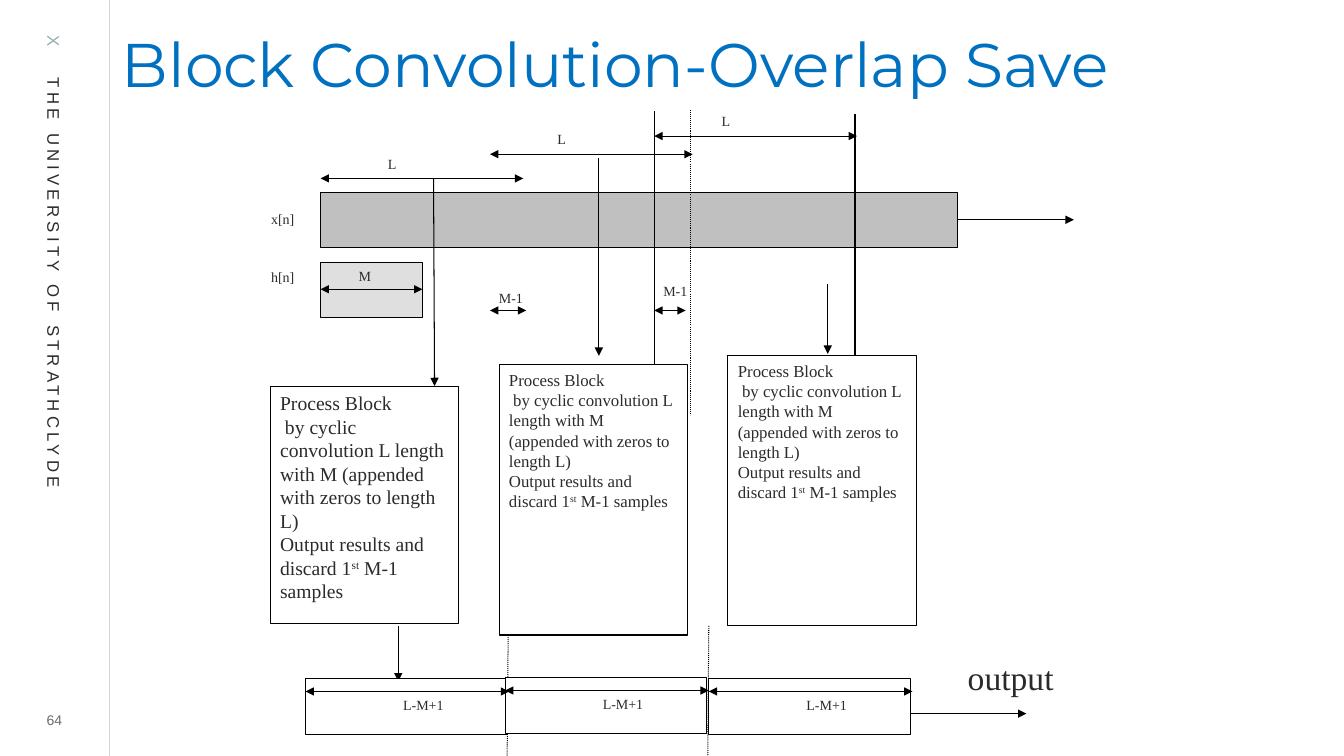
"""Build the slide on block convolution by the overlap-save method."""
from lxml import etree
from pptx import Presentation
from pptx.dml.color import RGBColor
from pptx.enum.dml import MSO_LINE
from pptx.enum.shapes import MSO_CONNECTOR, MSO_SHAPE
from pptx.enum.text import MSO_ANCHOR, MSO_AUTO_SIZE, PP_ALIGN
from pptx.oxml.ns import qn
from pptx.util import Inches, Pt

BLACK = RGBColor(0x00, 0x00, 0x00)
WHITE = RGBColor(0xFF, 0xFF, 0xFF)
INK = RGBColor(0x2B, 0x2B, 0x2B)
BLUE = RGBColor(0x00, 0x70, 0xC0)
GREY = RGBColor(0xC0, 0xC0, 0xC0)
PALE = RGBColor(0xDF, 0xDF, 0xDF)
RULE = RGBColor(0xD5, 0xD5, 0xD5)
SAGE = RGBColor(0x95, 0xAC, 0xAC)
DIM = RGBColor(0x6B, 0x6B, 0x6B)
LEFT, CENTER = PP_ALIGN.LEFT, PP_ALIGN.CENTER
TOP, MIDDLE = MSO_ANCHOR.TOP, MSO_ANCHOR.MIDDLE
DOT = MSO_LINE.ROUND_DOT
RECT, LINE = MSO_SHAPE.RECTANGLE, MSO_CONNECTOR.STRAIGHT

deck = Presentation()
deck.slide_width, deck.slide_height = Inches(13.33), Inches(7.5)
slide = deck.slides.add_slide(deck.slide_layouts[5])
shapes = slide.shapes


def write(text, box=None, at=None, size=10, font="Times New Roman", color=INK,
          align=LEFT, anchor=TOP, inset=(0.1, 0.05, 0.1, 0.05), tab=None):
    """Write lines of text; | parts runs and ^ raises one."""
    if box is None:
        box = shapes.add_textbox(*map(Inches, at))
    frame = box.text_frame
    frame.word_wrap, frame.auto_size = True, MSO_AUTO_SIZE.NONE
    frame.vertical_anchor = anchor
    (frame.margin_left, frame.margin_top,
     frame.margin_right, frame.margin_bottom) = map(Inches, inset)
    for i, line in enumerate(text.split("\n")):
        para = frame.paragraphs[0] if i == 0 else frame.add_paragraph()
        para.alignment = align
        if tab:
            stops = etree.SubElement(para._p.get_or_add_pPr(), qn("a:tabLst"))
            etree.SubElement(stops, qn("a:tab"), pos=str(Inches(tab)), algn="l")
        for part in line.split("|"):
            run = para.add_run()
            run.text = part.lstrip("^")
            run.font.size, run.font.name = Pt(size), font
            run.font.color.rgb = color
            if part.startswith("^"):
                run.font._element.set("baseline", "30000")
    return box


def link(x1, y1, x2, y2, head=False, tail=False, dash=None, color=BLACK, width=0.75):
    """Draw a straight line with arrowheads where asked."""
    line = shapes.add_connector(LINE, *map(Inches, (x1, y1, x2, y2)))
    line.line.color.rgb, line.line.width = color, Pt(width)
    if dash:
        line.line.dash_style = dash
    pen = line.line._get_or_add_ln()
    for name, on in (("headEnd", head), ("tailEnd", tail)):
        if on:
            etree.SubElement(pen, qn("a:" + name), type="triangle")
    etree.SubElement(line._element.spPr, qn("a:effectLst"))


link(1.08, 0, 1.08, 7.5, color=RULE, width=0.5)
side = write("X|\tTHE UNIVERSITY OF STRATHCLYDE", at=(-2.3, 2.94, 5.67, 0.3),
             size=12, font="Arial", tab=0.42)
side.rotation = 90
runs = side.text_frame.paragraphs[0].runs
runs[0].font.color.rgb = SAGE
for run in runs:
    run.font._element.set("spc", "300")

title = shapes.title
title.left, title.top, title.width, title.height = map(Inches, (1.21, 0.19, 12.12, 1.02))
write("Block Convolution-Overlap Save", box=title, size=44, font="Montserrat",
      color=BLUE, inset=(0, 0.21, 0, 0))
title.text_frame.paragraphs[0].line_spacing = 0.8
write("64", at=(0.26, 7.02, 0.56, 0.25), size=10, font="Arial", color=DIM,
      align=CENTER, anchor=MIDDLE, inset=(0, 0, 0, 0))

STEPS = ("Process Block\n"
         " by cyclic convolution L length with M (appended with zeros to length L)\n"
         "Output results and discard 1|^st| M-1 samples")
bars = [(3.18, 1.91, 6.32, 0.55, GREY), (3.18, 2.6, 1.01, 0.55, PALE)]
tasks = [(2.68, 3.83, 1.87, 2.36, 14), (4.95, 3.62, 1.87, 2.68, 12),
         (7.22, 3.53, 1.87, 2.68, 12)]
outs = [(3.03, 6.73), (5.01, 6.72), (7.03, 6.73)]

for x, y, w, h, fill in bars:
    bar = shapes.add_shape(RECT, *map(Inches, (x, y, w, h)))
    bar.shadow.inherit = False
    bar.fill.solid()
    bar.fill.fore_color.rgb = fill
    bar.line.color.rgb, bar.line.width = BLACK, Pt(0.75)

for x, y, end in [(6.49, 1.1, 3.73), (8.48, 1.13, 3.75)]:
    link(x, y, x, end)
for x1, y1, x2, y2 in [(6.85, 1.09, 6.85, 4.12), (5.04, 6.32, 5.03, 7.5),
                       (7.03, 6.21, 7.02, 7.5)]:
    link(x1, y1, x2, y2, dash=DOT)
for x1, y1, x2, y2 in [(4.3, 1.77, 4.31, 3.83), (5.94, 1.57, 5.94, 3.53),
                       (8.21, 2.82, 8.21, 3.51), (3.95, 6.21, 3.95, 6.76),
                       (9.5, 2.18, 10.65, 2.18), (9.03, 7.08, 10.18, 7.08)]:
    link(x1, y1, x2, y2, tail=True)

for x, y, w, h, size in tasks + [(x, y, 2, 0.56, None) for x, y in outs]:
    block = shapes.add_shape(RECT, *map(Inches, (x, y, w, h)))
    block.shadow.inherit = False
    block.fill.solid()
    block.fill.fore_color.rgb = WHITE
    block.line.color.rgb, block.line.width = BLACK, Pt(0.75)
    if size:
        write(STEPS, box=block, size=size)

spans = [(3.18, 2.87, 1.01), (4.86, 3.08, 0.36), (6.49, 3.08, 0.31)]
for x, y in [(3.18, 1.77), (4.86, 1.53), (6.49, 1.35)]:
    spans.append((x, y, 2.01))
    write("L", at=(x + 0.57, y - 0.28, 0.86, 0.55))
for x, y in outs:
    spans.append((x, y + 0.13, 2.02))
    write("L-M+1", at=(x + 0.87, y + 0.13, 0.72, 0.55))
for x, y, w in spans:
    link(x, y, x + w, y, head=True, tail=True)

for text, at in [("M", (3.46, 2.6, 0.43, 0.69)), ("x[n]", (2.59, 2.04, 0.72, 0.41)),
                 ("h[n]", (2.59, 2.61, 0.72, 0.55)), ("M-1", (4.85, 2.82, 1.01, 0.41)),
                 ("M-1", (6.48, 2.75, 1.01, 0.41))]:
    write(text, at=at)
write("output", at=(9.5, 6.47, 1.87, 0.56), size=24)

deck.save("out.pptx")
